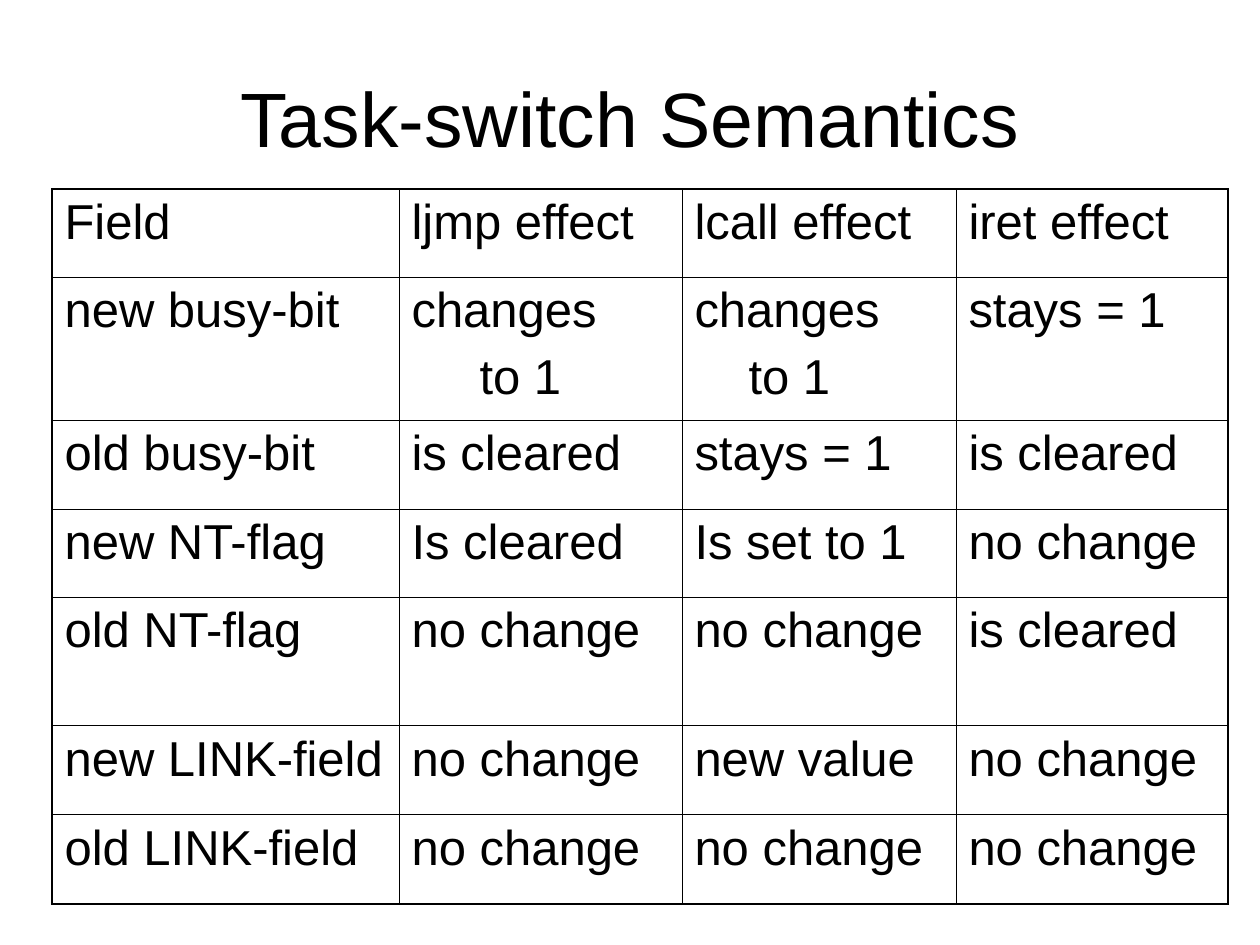
import pptx
import pptx.dml.color
import pptx.enum.text
import pptx.oxml.ns
import pptx.util
from lxml import etree

PX = 914400 / 126
BLACK = pptx.dml.color.RGBColor(0, 0, 0)
WHITE = pptx.dml.color.RGBColor(255, 255, 255)
OUTER_LINE = 1.08
INNER_LINE = 0.45
COLUMN_WIDTHS = [347, 283, 274, 272]
ROW_HEIGHTS = [88, 143, 89, 88, 129, 89, 89]
SECOND_LINE_INDENTS = {1: 68, 2: 54}
ROWS = [
    ["Field", "ljmp effect", "lcall effect", "iret effect"],
    ["new busy-bit", "changes\nto 1", "changes\nto 1", "stays = 1"],
    ["old busy-bit", "is cleared", "stays = 1", "is cleared"],
    ["new NT-flag", "Is cleared", "Is set to 1", "no change"],
    ["old NT-flag", "no change", "no change", "is cleared"],
    ["new LINK-field", "no change", "new value", "no change"],
    ["old LINK-field", "no change", "no change", "no change"],
]


def px(length):
    return pptx.util.Emu(round(length * PX))


def add_border(cell, side, is_outer):
    width = pptx.util.Pt(OUTER_LINE if is_outer else INNER_LINE)
    properties = cell._tc.get_or_add_tcPr()
    line = etree.SubElement(properties, pptx.oxml.ns.qn("a:ln" + side), w=str(width))
    fill = etree.SubElement(line, pptx.oxml.ns.qn("a:solidFill"))
    etree.SubElement(fill, pptx.oxml.ns.qn("a:srgbClr"), val=str(BLACK))


presentation = pptx.Presentation()
presentation.slide_width = pptx.util.Inches(10)
presentation.slide_height = pptx.util.Inches(7.5)
slide = presentation.slides.add_slide(presentation.slide_layouts[5])
slide.background.fill.solid()
slide.background.fill.fore_color.rgb = WHITE

# Title
title = slide.shapes.title
title.left, title.top, title.width, title.height = px(63), px(38), px(1134), px(157)
title.text_frame.text = "Task-switch Semantics"
title.text_frame.vertical_anchor = pptx.enum.text.MSO_ANCHOR.MIDDLE
paragraph = title.text_frame.paragraphs[0]
paragraph.alignment = pptx.enum.text.PP_ALIGN.CENTER
paragraph.font.name = "Arial"
paragraph.font.size = pptx.util.Pt(44)
paragraph.font.color.rgb = BLACK

# Table grid
table = slide.shapes.add_table(
    len(ROWS), len(COLUMN_WIDTHS), px(52), px(189),
    px(sum(COLUMN_WIDTHS)), px(sum(ROW_HEIGHTS))).table
table.first_row = False
table.horz_banding = False
for column, width in zip(table.columns, COLUMN_WIDTHS):
    column.width = px(width)
for row, height in zip(table.rows, ROW_HEIGHTS):
    row.height = px(height)

# Cells: thicker lines around the outside, thin lines within
last_row = len(ROWS) - 1
last_column = len(COLUMN_WIDTHS) - 1
for row_index, texts in enumerate(ROWS):
    for column_index, text in enumerate(texts):
        cell = table.cell(row_index, column_index)
        add_border(cell, "L", column_index == 0)
        add_border(cell, "R", column_index == last_column)
        add_border(cell, "T", row_index == 0)
        add_border(cell, "B", row_index == last_row)
        cell.fill.background()
        cell.text_frame.text = text
        for line_index, paragraph in enumerate(cell.text_frame.paragraphs):
            if line_index > 0:
                paragraph.space_before = pptx.util.Pt(7)
                indent = px(SECOND_LINE_INDENTS[column_index])
                paragraph._p.get_or_add_pPr().set("marL", str(indent))
            paragraph.font.name = "Arial"
            paragraph.font.size = pptx.util.Pt(28)
            paragraph.font.color.rgb = BLACK

presentation.save("out.pptx")
